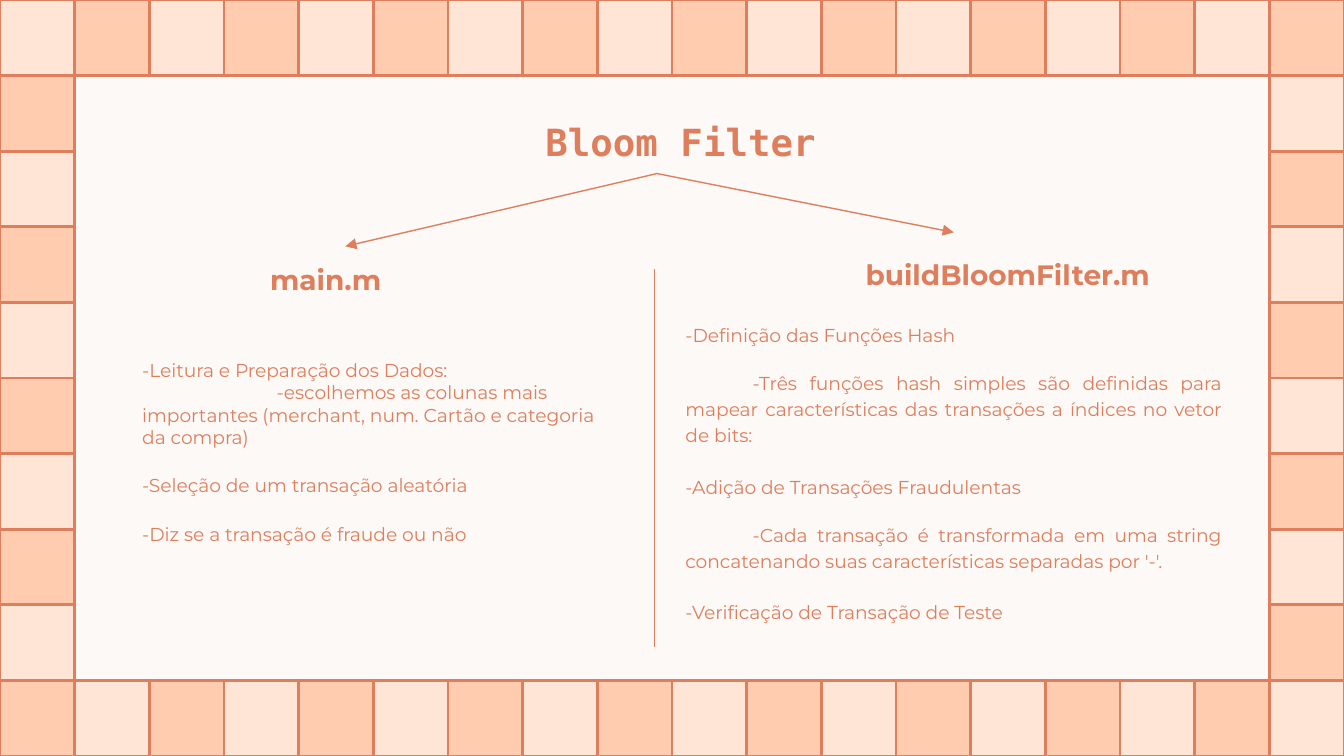
from dataclasses import dataclass

from lxml import etree
from pptx import Presentation
from pptx.dml.color import RGBColor
from pptx.enum.shapes import MSO_CONNECTOR, MSO_SHAPE
from pptx.enum.text import MSO_ANCHOR, MSO_AUTO_SIZE, PP_ALIGN
from pptx.oxml.ns import qn
from pptx.util import Pt

RECT = MSO_SHAPE.RECTANGLE
STRAIGHT = MSO_CONNECTOR.STRAIGHT
TOP, MIDDLE = MSO_ANCHOR.TOP, MSO_ANCHOR.MIDDLE
LEFT, JUSTIFY = PP_ALIGN.LEFT, PP_ALIGN.JUSTIFY
NO_AUTOFIT = MSO_AUTO_SIZE.NONE

WIDTH, HEIGHT = 720, 405
COLS, ROWS = 18, 10
COMPARISON_LAYOUT = 4


@dataclass(frozen=True)
class Theme:
    background: RGBColor = RGBColor.from_string("FCF9F6")
    accent: RGBColor = RGBColor.from_string("DE7E5D")
    light: RGBColor = RGBColor.from_string("FFE5D6")
    dark: RGBColor = RGBColor.from_string("FFCCAF")
    title_font: str = "DejaVu Sans Mono"
    text_font: str = "Montserrat"
    title_size: int = 20
    heading_size: int = 15
    body_size: int = 10


THEME = Theme()


@dataclass(frozen=True)
class Para:
    text: str
    before: float = 0
    spacing: float = 1.0
    indent: float = 0
    align: PP_ALIGN = LEFT


MAIN_STEPS = [
    Para("-Leitura e Preparação dos Dados:"),
    Para("-escolhemos as colunas mais importantes "
         "(merchant, num. Cartão e categoria da compra)", indent=72),
    Para("-Seleção de um transação aleatória", 12, 1.15),
    Para("-Diz se a transação é fraude ou não", 12, 1.15),
]

BUILD_STEPS = [
    Para("-Definição das Funções Hash", 0, 1.15, 0, JUSTIFY),
    Para("-Três funções hash simples são definidas para mapear características "
         "das transações a índices no vetor de bits:", 12, 1.15, 36, JUSTIFY),
    Para("-Adição de Transações Fraudulentas", 14, 1.15, 0, JUSTIFY),
    Para("-Cada transação é transformada em uma string concatenando suas "
         "características separadas por '-'.", 12, 1.15, 36, JUSTIFY),
    Para("-Verificação de Transação de Teste", 14, 1.15, 0, JUSTIFY),
]


def add_checker_frame(s):
    w, h = WIDTH / COLS, HEIGHT / ROWS
    for row in range(ROWS):
        for col in range(COLS):
            if 0 < row < ROWS - 1 and 0 < col < COLS - 1:
                continue
            sp = s.shapes.add_shape(RECT, Pt(col * w), Pt(row * h), Pt(w), Pt(h))
            sp.shadow.inherit = False
            sp.fill.solid()
            sp.fill.fore_color.rgb = THEME.dark if (row + col) % 2 else THEME.light
            sp.line.color.rgb = THEME.accent
            sp.line.width = Pt(1.5)


def add_line(s, x1, y1, x2, y2, arrow=False):
    line = s.shapes.add_connector(STRAIGHT, Pt(x1), Pt(y1), Pt(x2), Pt(y2))
    line.line.color.rgb = THEME.accent
    line.line.width = Pt(0.75)
    sp_pr = line._element.spPr
    etree.SubElement(sp_pr, qn("a:effectLst"))
    if arrow:
        etree.SubElement(sp_pr.find(qn("a:ln")), qn("a:tailEnd"), type="triangle")


def fill_placeholder(sp, box, paras, size, font=THEME.text_font, bold=False, anchor=TOP):
    sp.left, sp.top, sp.width, sp.height = map(Pt, box)
    tf = sp.text_frame
    tf.word_wrap = True
    tf.auto_size = NO_AUTOFIT
    tf.vertical_anchor = anchor
    tf.margin_left = tf.margin_right = tf.margin_top = tf.margin_bottom = Pt(7.2)
    for i, para in enumerate(paras):
        p = tf.add_paragraph() if i else tf.paragraphs[0]
        p.text = para.text
        p_pr = p._p.get_or_add_pPr()
        p_pr.set("marL", "0")
        p_pr.set("indent", str(Pt(para.indent)))
        etree.SubElement(p_pr, qn("a:buNone"))
        p.alignment = para.align
        p.line_spacing = para.spacing
        p.space_before = Pt(para.before)
        p.space_after = Pt(0)
        p.font.name = font
        p.font.size = Pt(size)
        p.font.bold = bold
        p.font.color.rgb = THEME.accent


def main():
    prs = Presentation()
    prs.slide_width, prs.slide_height = Pt(WIDTH), Pt(HEIGHT)
    s = prs.slides.add_slide(prs.slide_layouts[COMPARISON_LAYOUT])
    s.background.fill.solid()
    s.background.fill.fore_color.rgb = THEME.background

    add_checker_frame(s)

    title, main_head, main_body, build_head, build_body = s.placeholders
    fill_placeholder(title, (285, 50, 176, 55), [Para("Bloom Filter", spacing=0.9)],
                     THEME.title_size, THEME.title_font, True, MIDDLE)
    fill_placeholder(main_head, (137.5, 133.5, 176, 48), [Para("main.m")],
                     THEME.heading_size, bold=True)
    fill_placeholder(build_head, (456.5, 131, 257, 34), [Para("buildBloomFilter.m")],
                     THEME.heading_size, bold=True)
    fill_placeholder(main_body, (69, 185, 269, 115), MAIN_STEPS, THEME.body_size)
    fill_placeholder(build_body, (360, 164.5, 301.5, 205), BUILD_STEPS, THEME.body_size)

    add_line(s, 352, 93, 511, 124.5, arrow=True)
    add_line(s, 352, 93, 185, 132, arrow=True)
    add_line(s, 350.75, 144, 350.75, 346.5)

    prs.save("out.pptx")


if __name__ == "__main__":
    main()
